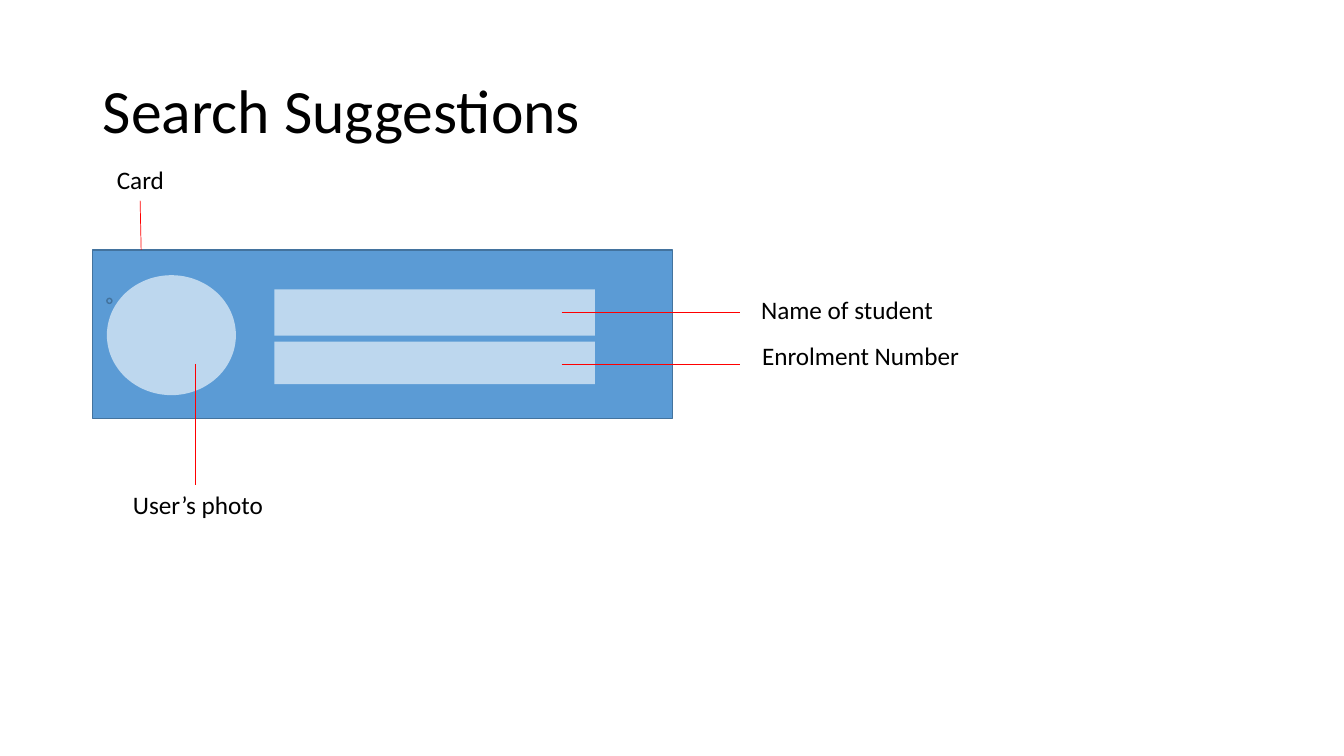
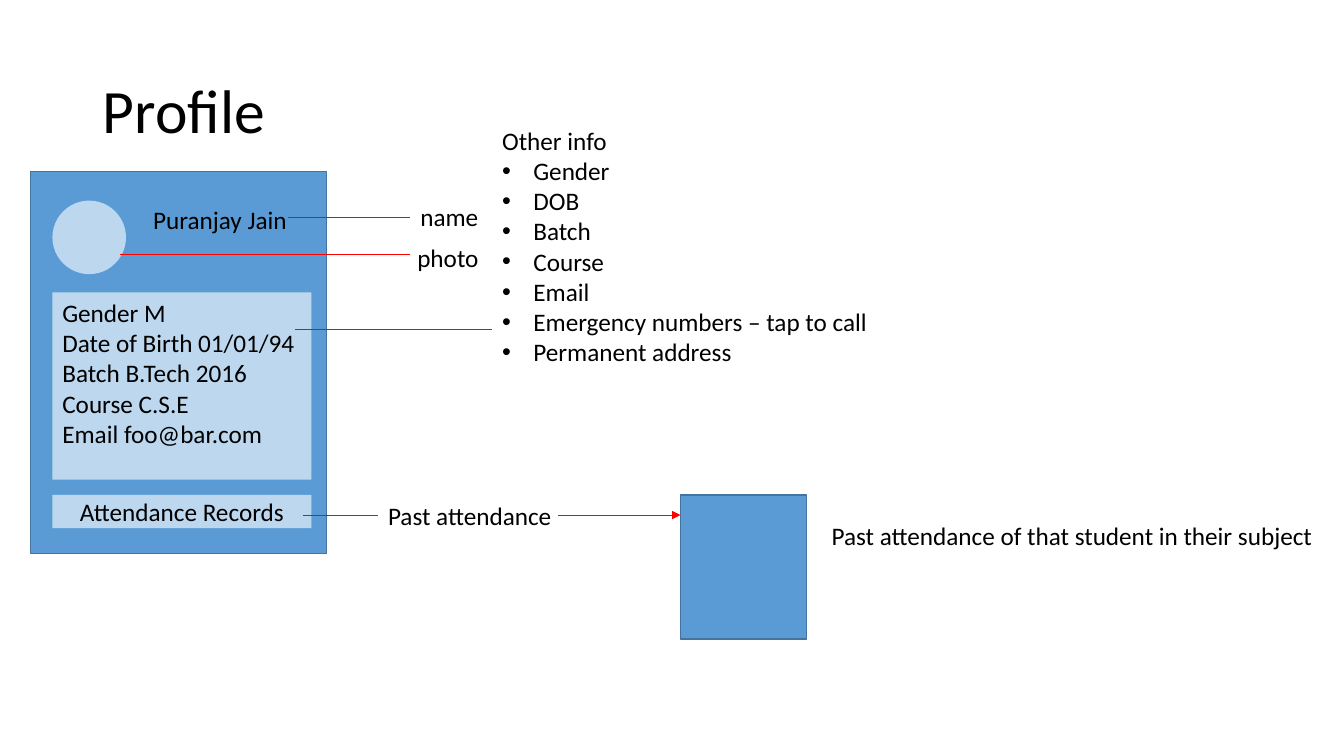
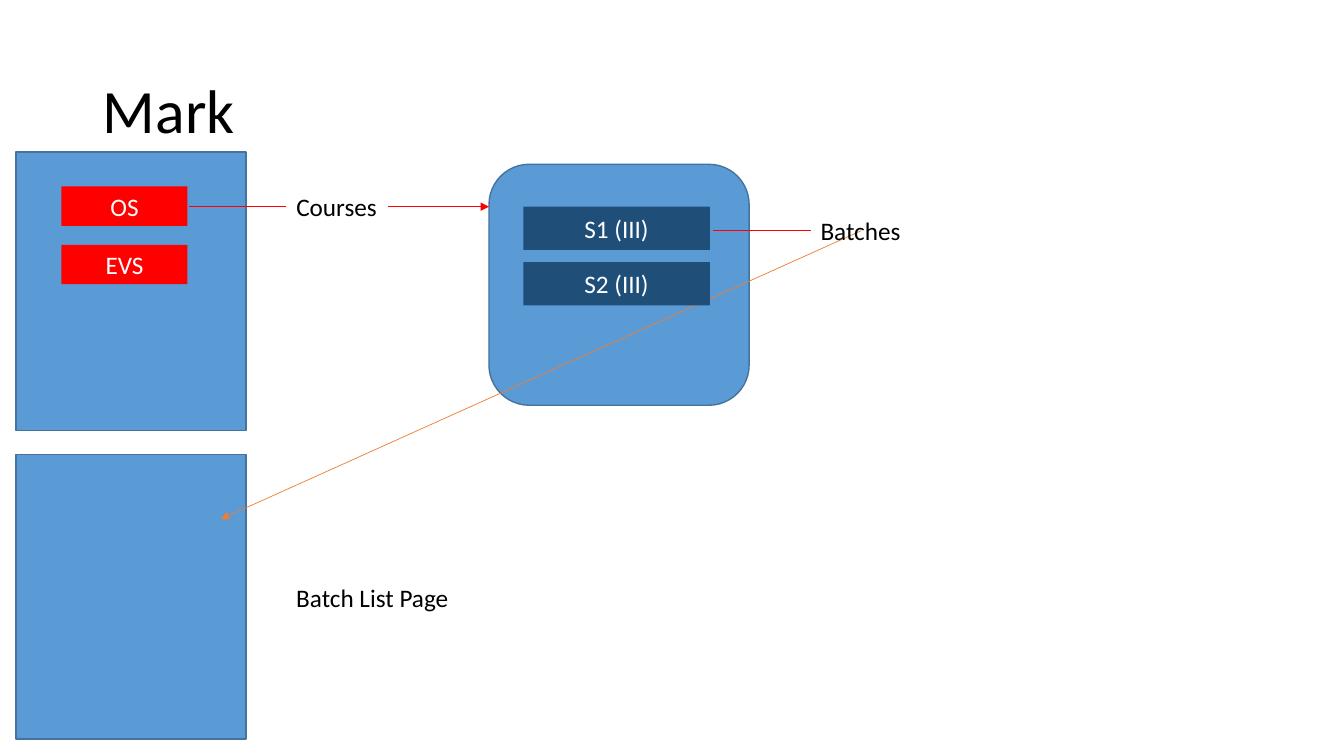
from lxml import etree
from pptx import Presentation
from pptx import util as u
from pptx.dml import color
from pptx.enum import shapes, text
from pptx.oxml import ns

COLORS = {
    "card": "5B9BD5", "border": "43739E", "pale": "BDD7EE", "navy": "1F4E79",
    "red": "FF0000", "orange": "ED7D31", "ink": "000000", "white": "FFFFFF",
}
FONT = "Calibri"
CELL = u.Inches(0.1)  # the slide is a grid of 133.33 columns by 75 rows
LABEL_ROWS = 4
LEFT, CENTER = text.PP_ALIGN.LEFT, text.PP_ALIGN.CENTER
KINDS = shapes.MSO_SHAPE


def add_box(slide, bounds, fill, lines=(), kind=KINDS.RECTANGLE, ink="ink", align=CENTER):
    """Draw a filled shape; only cards have a border."""
    shape = slide.shapes.add_shape(kind, *[round(cells * CELL) for cells in bounds])
    shape.shadow.inherit = False
    shape.fill.solid()
    shape.fill.fore_color.rgb = color.RGBColor.from_string(COLORS[fill])
    if fill == "card":
        shape.line.color.rgb = color.RGBColor.from_string(COLORS["border"])
        shape.line.width = u.Pt(1)
    else:
        shape.line.fill.background()
    if lines:
        frame = shape.text_frame
        frame.text = "\n".join(lines)
        frame.vertical_anchor = text.MSO_ANCHOR.MIDDLE if align == CENTER else text.MSO_ANCHOR.TOP
        for paragraph in frame.paragraphs:
            paragraph.alignment = align
            paragraph.font.size = u.Pt(18)
            paragraph.font.name = FONT
            paragraph.font.color.rgb = color.RGBColor.from_string(COLORS[ink])


def add_line(slide, ends, stroke="red", arrow=False):
    line = slide.shapes.add_connector(
        shapes.MSO_CONNECTOR.STRAIGHT, *[round(cells * CELL) for cells in ends])
    line.line.color.rgb = color.RGBColor.from_string(COLORS[stroke])
    line.line.width = u.Pt(0.5)
    if arrow:
        etree.SubElement(line.line._get_or_add_ln(), ns.qn("a:tailEnd"), type="triangle")
    etree.SubElement(line._element.spPr, ns.qn("a:effectLst"))


presentation = Presentation()
presentation.slide_width, presentation.slide_height = u.Inches(13.33), u.Inches(7.5)

# Slides and titles
TITLE_AND_BODY, TITLE_ONLY = 1, 5
slides = []
for heading, layout in [("Search Suggestions", TITLE_ONLY), ("Profile", TITLE_AND_BODY), ("Mark", TITLE_ONLY)]:
    slide = presentation.slides.add_slide(presentation.slide_layouts[layout])
    title = slide.shapes.title
    title.left, title.top, title.width, title.height = [round(c * CELL) for c in (9.2, 4, 115, 14.5)]
    title.text_frame.text = heading
    title.text_frame.vertical_anchor = text.MSO_ANCHOR.MIDDLE
    paragraph = title.text_frame.paragraphs[0]
    paragraph.alignment = LEFT
    paragraph.line_spacing = 0.9
    paragraph.font.size = u.Pt(44)
    paragraph.font.name = FONT
    paragraph.font.color.rgb = color.RGBColor.from_string(COLORS["ink"])
    slides.append(slide)
search, profile, mark = slides

# Search suggestion card
add_box(search, (9.2, 24.8, 57.5, 16.7), "card")
add_line(search, (14, 24.8, 13.9, 19.9))
add_box(search, (10.6, 29.6, 0.5, 0.5), "card", kind=KINDS.OVAL)
add_box(search, (10.6, 27.3, 12.8, 11.9), "pale", kind=KINDS.OVAL)
for top, height in [(28.7, 4.6), (33.9, 4.2)]:
    add_box(search, (27.2, top, 31.8, height), "pale")
add_line(search, (19.4, 36.1, 19.4, 48.1))
for row in (31, 36.1):
    add_line(search, (55.7, row, 73.4, row))

# Profile card and the attendance page
add_box(profile, (3, 17, 29.4, 37.9), "card")
add_box(profile, (5.2, 19.9, 7.3, 7.3), "pale", kind=KINDS.OVAL)
details = ["Gender M", "Date of Birth 01/01/94", "Batch B.Tech 2016", "Course C.S.E", "Email foo@bar.com"]
add_box(profile, (5.2, 29, 25.7, 18.6), "pale", details, align=LEFT)
add_box(profile, (5.2, 49.1, 25.7, 3.3), "pale", ["Attendance Records"])
add_box(profile, (67.5, 49.1, 12.5, 14.3), "card")
for start, end, row in [(28.6, 40.7, 21.6), (11.9, 40.7, 25.2), (29.3, 48.8, 32.7), (30.1, 37.5, 51.1)]:
    add_line(profile, (start, row, end, row))
add_line(profile, (55.3, 51.1, 67.5, 51.1), arrow=True)

# Profile list
body = profile.placeholders[1]
body.left, body.top, body.width, body.height = [round(c * CELL) for c in (48.8, 11.9, 38.7, 31.3)]
frame = body.text_frame
frame.text = "\n".join(["Other info", "Gender", "DOB", "Batch", "Course", "Email",
                        "Emergency numbers – tap to call", "Permanent address"])
frame.word_wrap = False
frame.auto_size = text.MSO_AUTO_SIZE.SHAPE_TO_FIT_TEXT
for number, paragraph in enumerate(frame.paragraphs):
    paragraph.space_before = u.Pt(0)
    properties = paragraph._p.get_or_add_pPr()
    indent = u.Inches(0.31) if number else 0
    properties.set("marL", str(indent))
    properties.set("indent", str(-indent))
    if number:
        etree.SubElement(properties, ns.qn("a:buFont"), typeface="Arial")
        etree.SubElement(properties, ns.qn("a:buChar"), char="•")
    else:
        etree.SubElement(properties, ns.qn("a:buNone"))
    paragraph.font.size = u.Pt(18)
    paragraph.font.name = FONT
    paragraph.font.color.rgb = color.RGBColor.from_string(COLORS["ink"])

# Course page, batch page and batch list page
add_box(mark, (1.6, 15.1, 22.8, 27.6), "card")
add_box(mark, (48.5, 16.3, 25.8, 23.9), "card", kind=KINDS.ROUNDED_RECTANGLE)
add_box(mark, (1.6, 45.1, 22.8, 28.2), "card")
add_line(mark, (18.7, 20.5, 28.4, 20.5))
add_line(mark, (38.5, 20.5, 48.5, 20.5), arrow=True)
add_line(mark, (70.7, 22.9, 80.4, 22.9))
add_line(mark, (85.4, 22.9, 21.9, 51.5), "orange", arrow=True)
for row, (course, batch) in enumerate([("OS", "S1 (III)"), ("EVS", "S2 (III)")]):
    add_box(mark, (6.1, 18.5 + 5.8 * row, 12.5, 3.9), "red", [course], ink="white")
    add_box(mark, (51.9, 20.5 + 5.5 * row, 18.5, 4.3), "navy", [batch], ink="white")

# Labels: slide, wording, left, top, width, wrapping
labels = [
    (search, "Card", 10.6, 15.8, 24.5, True),
    (search, "Name of student", 74.5, 28.7, 27.6, True),
    (search, "Enrolment Number", 74.6, 33.3, 22.4, False),
    (search, "User’s photo", 12.2, 48.1, 15, False),
    (profile, "photo", 40.4, 23.5, 8.2, False),
    (profile, "name", 40.7, 19.5, 7.8, False),
    (profile, "Past attendance", 37.5, 49.1, 18.5, False),
    (profile, "Past attendance of that student in their subject", 81.5, 51.1, 50.3, False),
    (profile, "Puranjay Jain", 14.2, 19.8, 16.7, True),
    (mark, "Courses", 28.4, 18.5, 10.1, False),
    (mark, "Batches", 80.4, 20.9, 10, False),
    (mark, "Batch List Page", 28.4, 57.3, 17.3, False),
]
for slide, wording, left, top, width, wraps in labels:
    label = slide.shapes.add_textbox(*[round(c * CELL) for c in (left, top, width, LABEL_ROWS)])
    frame = label.text_frame
    frame.text = wording
    frame.word_wrap = wraps
    frame.auto_size = text.MSO_AUTO_SIZE.SHAPE_TO_FIT_TEXT
    paragraph = frame.paragraphs[0]
    paragraph.font.size = u.Pt(18)
    paragraph.font.name = FONT
    paragraph.font.color.rgb = color.RGBColor.from_string(COLORS["ink"])

presentation.save("out.pptx")
